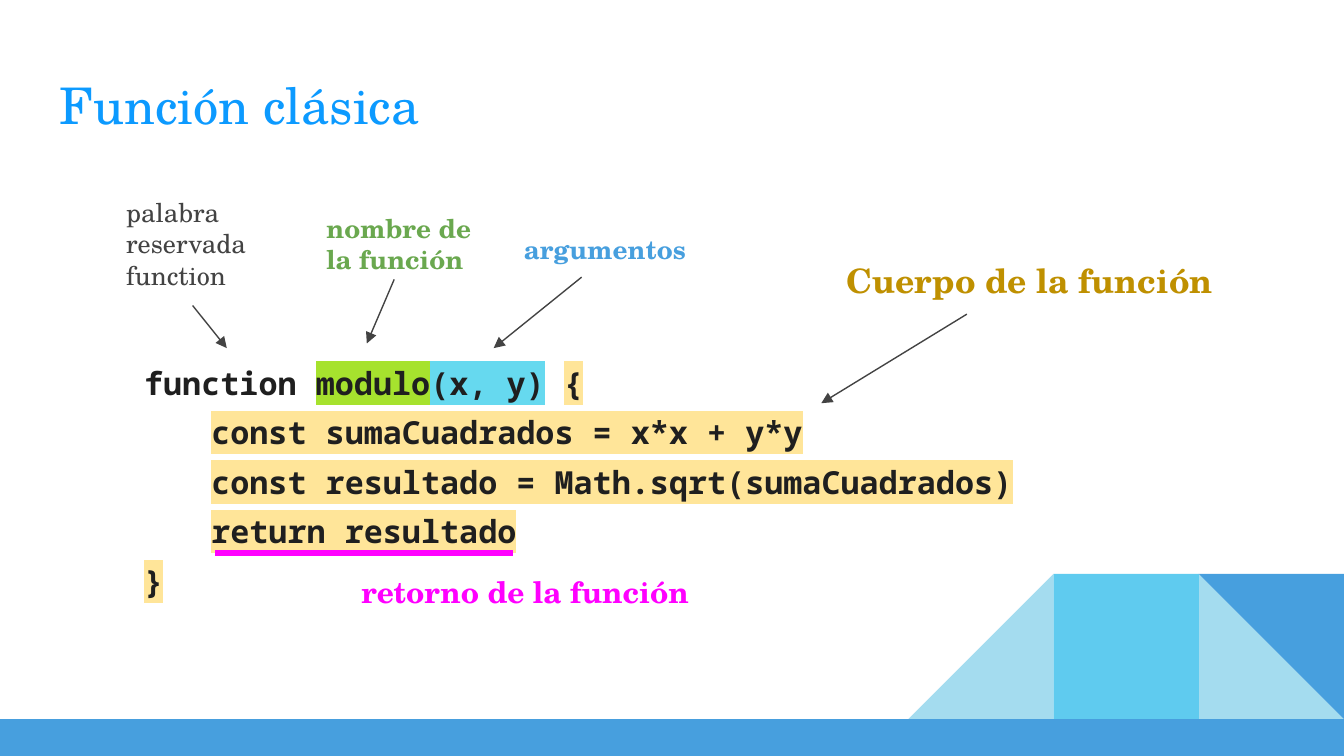
import pptx
import pptx.dml.color
import pptx.enum.shapes
import pptx.enum.text
import pptx.oxml
import pptx.oxml.ns
import pptx.util
import lxml.etree

Pt = pptx.util.Pt
RGBColor = pptx.dml.color.RGBColor
qn = pptx.oxml.ns.qn
Shapes = pptx.enum.shapes.MSO_SHAPE

theme = {
    "serif": "TeX Gyre Schola", "mono": "Noto Sans Mono",
    "title": "0C9AFF", "code": "1F1F1F", "dark": "434343",
    "name": "6AA84F", "blue": "479FDE", "body": "BF9000", "return": "FF00FF",
    "pale": "A4DCEF", "sky": "5FCBEF",
    "name_mark": "A6E22E", "arguments_mark": "66D9EF", "body_mark": "FFE599",
    "title_size": 27, "code_size": 17,
    "label_size": 14, "return_size": 16, "body_size": 18,
}


def add_run(paragraph, text, font, size, color, bold=False, mark=None):
    run = paragraph.add_run()
    run.text = text
    run.font.name = theme[font]
    run.font.size = Pt(theme[size])
    run.font.bold = bold
    run.font.color.rgb = RGBColor.from_string(theme[color])
    if mark:
        highlight = lxml.etree.Element(qn("a:highlight"))
        lxml.etree.SubElement(highlight, qn("a:srgbClr"), val=theme[mark])
        run.font._element.find(qn("a:solidFill")).addnext(highlight)


def prepare_frame(shape, box):
    shape.left, shape.top, shape.width, shape.height = map(Pt, box)
    frame = shape.text_frame
    frame.word_wrap = True
    frame.auto_size = pptx.enum.text.MSO_AUTO_SIZE.NONE
    frame.vertical_anchor = pptx.enum.text.MSO_ANCHOR.TOP
    frame.margin_left = frame.margin_right = Pt(7.2)
    frame.margin_top = frame.margin_bottom = Pt(7.2)
    return frame


presentation = pptx.Presentation()
presentation.slide_width = Pt(720)
presentation.slide_height = Pt(405)
slide = presentation.slides.add_slide(presentation.slide_layouts[1])

tile = 77.76
bar_top = 385.2
tile_top = bar_top - tile
decorations = [
    (Shapes.RIGHT_TRIANGLE, 720 - tile, tile_top, tile, tile, "pale", 0, False),
    (Shapes.RIGHT_TRIANGLE, 720 - 3 * tile, tile_top, tile, tile, "pale", 0, True),
    (Shapes.RECTANGLE, 720 - 2 * tile, tile_top, tile, tile, "sky", 0, False),
    (Shapes.RIGHT_TRIANGLE, 720 - tile, tile_top, tile, tile, "blue", 180, False),
    (Shapes.RECTANGLE, 0, bar_top, 720, 405 - bar_top, "blue", 0, False),
]
for kind, left, top, width, height, color, rotation, flipped in decorations:
    shape = slide.shapes.add_shape(kind, Pt(left), Pt(top), Pt(width), Pt(height))
    shape.shadow.inherit = False
    shape.fill.solid()
    shape.fill.fore_color.rgb = RGBColor.from_string(theme[color])
    shape.line.fill.background()
    shape.rotation = rotation
    if flipped:
        shape._element.spPr.find(qn("a:xfrm")).set("flipH", "1")

title_frame = prepare_frame(slide.shapes.title, (24.5, 32.4, 671, 47.5))
title_paragraph = title_frame.paragraphs[0]
title_paragraph.alignment = pptx.enum.text.PP_ALIGN.LEFT
add_run(title_paragraph, "Función clásica", "serif", "title_size", "title")

code_lines = [
    (0, [("function ", None), ("modulo", "name_mark"), ("(x, y)", "arguments_mark"),
         (" ", None), ("{", "body_mark")]),
    (36, [("const sumaCuadrados = x*x + y*y", "body_mark")]),
    (36, [("const resultado = Math.sqrt(sumaCuadrados)", "body_mark")]),
    (36, [("return resultado", "body_mark")]),
    (0, [("}", "body_mark")]),
]
code_frame = prepare_frame(slide.placeholders[1], (70, 181.5, 487, 149))
for index, (indent, runs) in enumerate(code_lines):
    paragraph = code_frame.add_paragraph() if index else code_frame.paragraphs[0]
    paragraph.line_spacing = 1.3
    paragraph.space_before = paragraph.space_after = Pt(0)
    properties = paragraph._p.get_or_add_pPr()
    properties.set("marL", str(Pt(indent)))
    properties.set("indent", "0")
    lxml.etree.SubElement(properties, qn("a:buNone"))
    for text, mark in runs:
        add_run(paragraph, text, "mono", "code_size", "code", True, mark)

labels = [
    ((60.5, 98, 85.7, 65.5), ["palabra", "reservada", "function"], "label_size", "dark", False),
    ((167.8, 106.5, 96.5, 48.2), ["nombre de la función"], "label_size", "name", True),
    ((273.6, 118, 105, 31.7), ["argumentos"], "label_size", "blue", True),
    ((446.4, 131.8, 241, 36), ["Cuerpo de la función"], "body_size", "body", True),
    ((186.5, 300.2, 215, 33.8), ["retorno de la función"], "return_size", "return", True),
]
for box, lines, size, color, bold in labels:
    label_frame = prepare_frame(slide.shapes.add_textbox(*map(Pt, box)), box)
    for index, text in enumerate(lines):
        paragraph = label_frame.add_paragraph() if index else label_frame.paragraphs[0]
        add_run(paragraph, text, "serif", size, color, bold)

connectors = [
    ((103.2, 163.7, 121.5, 186.5), "dark", 0.75, True),
    ((211.2, 149.7, 196.5, 184), "dark", 0.75, True),
    ((311.6, 148.5, 264.5, 186.5), "dark", 0.75, True),
    ((518, 168.3, 440, 216), "dark", 0.75, True),
    ((115.2, 296.4, 275, 296.4), "return", 3, False),
]
for ends, color, width, has_arrow in connectors:
    connector = slide.shapes.add_connector(
        pptx.enum.shapes.MSO_CONNECTOR.STRAIGHT, *map(Pt, ends))
    connector.line.color.rgb = RGBColor.from_string(theme[color])
    connector.line.width = Pt(width)
    if has_arrow:
        lxml.etree.SubElement(connector.line._get_or_add_ln(), qn("a:tailEnd"), type="triangle")
    lxml.etree.SubElement(connector._element.spPr, qn("a:effectLst"))

presentation.save("out.pptx")
